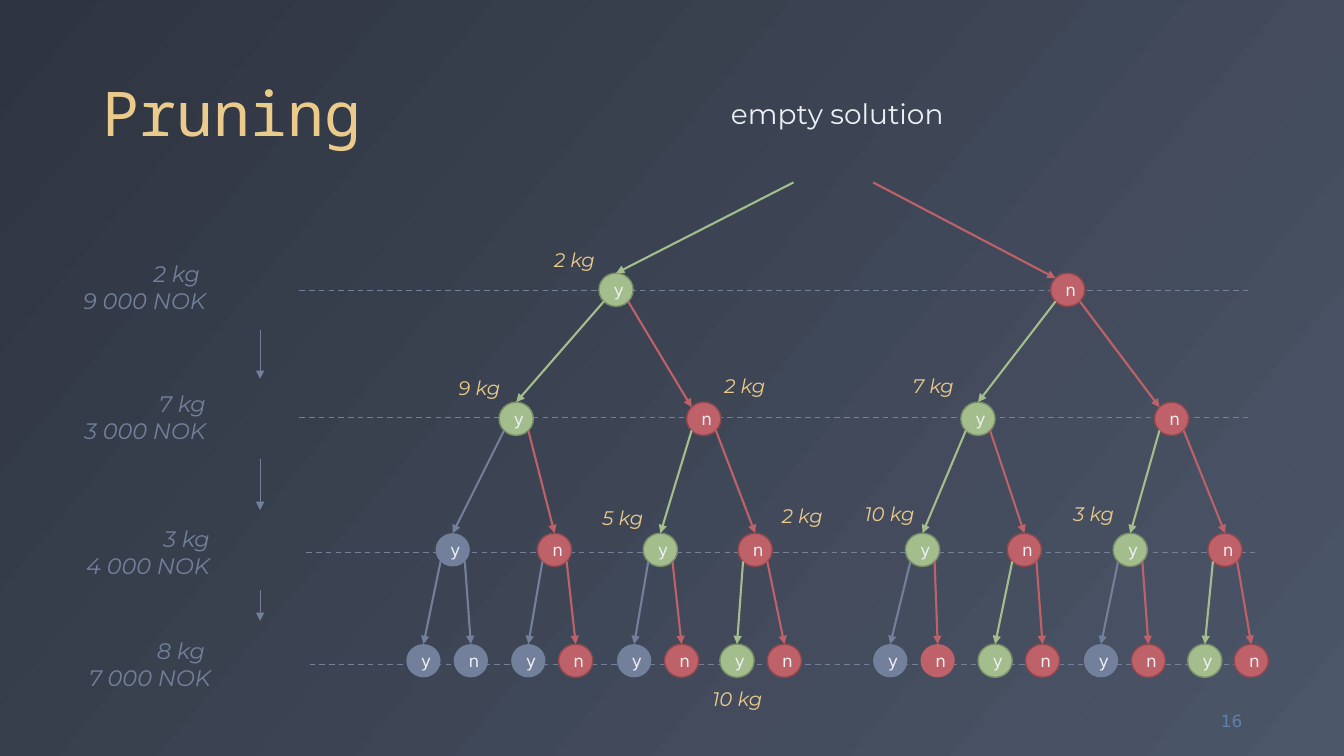
from dataclasses import dataclass
from typing import Any, Optional

import pptx
import pptx.dml.color
import pptx.enum.dml
import pptx.enum.shapes
import pptx.enum.text
import pptx.oxml
import pptx.oxml.ns
import pptx.util

Inches = pptx.util.Inches
ALIGN = pptx.enum.text.PP_ALIGN
ANCHOR = pptx.enum.text.MSO_ANCHOR
FIT = pptx.enum.text.MSO_AUTO_SIZE

COLORS = {
    "dark": "2E3440", "slate": "4C5669", "gray": "73809B", "white": "ECEFF3",
    "gold": "EBCB8B", "blue": "5E81AC",
    "green": "A3BE8C", "moss": "798D68", "red": "BF6169", "wine": "8D484E",
}
# Letter of a node: fill and rim
KINDS = {
    "B": ("gray", None), "G": ("green", "moss"),
    "R": ("red", "wine"), "P": ("red", None),
}
NODE_W, NODE_H = 0.34, 0.33
DASH_W = 9.42
ARROW_X = 2.58
ROOTS = [(7.87, 1.81), (8.66, 1.81)]


@dataclass
class Level:
    top: float
    kinds: str
    lefts: list[float]
    corner: bool = False  # "n" edges end at the upper left of the node


@dataclass
class Row:
    text: str
    left: float
    top: float
    width: float
    dash_x: float
    dash_y: float
    arrow: Optional[tuple[float, float]] = None


@dataclass
class Weight:
    text: str
    left: float
    top: float
    width: float = 0.62


LEVELS = [
    Level(2.71, "GR", [5.94, 10.42], True),
    Level(3.99, "GRGR", [4.95, 6.81, 9.53, 11.45], True),
    Level(5.29, "BRGRGRGR",
          [4.32, 5.33, 6.38, 7.32, 8.98, 9.99, 11.04, 11.98]),
    Level(6.39, "BBBRBRGRBPGRBRGR",
          [4.03, 4.5, 5.07, 5.54, 6.12, 6.59, 7.14, 7.61,
           8.66, 9.13, 9.7, 10.17, 10.75, 11.22, 11.78, 12.24]),
]
ROWS = [
    Row("2 kg \n9 000 NOK", 0.71, 2.53, 1.43, 2.97, 2.88, (3.27, 3.76)),
    Row("7 kg\n3 000 NOK", 0.72, 3.82, 1.42, 2.97, 4.14, (4.55, 5.06)),
    Row("3 kg\n4 000 NOK", 0.73, 5.16, 1.45, 3.04, 5.48, (5.85, 6.16)),
    Row("8 kg \n7 000 NOK", 0.76, 6.27, 1.43, 3.07, 6.59),
]
WEIGHTS = [
    Weight("2 kg", 5.38, 2.41), Weight("9 kg", 4.44, 3.68),
    Weight("2 kg", 7.07, 3.66), Weight("5 kg", 5.86, 4.97),
    Weight("10 kg", 6.96, 6.77, 0.7), Weight("2 kg", 7.64, 4.95),
    Weight("7 kg", 8.94, 3.66), Weight("10 kg", 8.47, 4.93, 0.7),
    Weight("3 kg", 10.53, 4.93),
]


def rgb(name: str) -> pptx.dml.color.RGBColor:
    return pptx.dml.color.RGBColor.from_string(COLORS[name])


def write(frame: Any, text: str, *, size: float, color: str,
          font: str = "Montserrat", align: Any = ALIGN.RIGHT,
          anchor: Any = ANCHOR.TOP, italic: bool = False,
          wrap: bool = False, fit: Any = FIT.NONE) -> None:
    """Fill a text frame, one paragraph for each line of the text."""
    frame.text = text
    frame.word_wrap = wrap
    frame.auto_size = fit
    frame.vertical_anchor = anchor
    for para in frame.paragraphs:
        para.alignment = align
        for run in para.runs:
            run.font.name = font
            run.font.size = pptx.util.Pt(size)
            run.font.italic = italic
            run.font.color.rgb = rgb(color)


def add_text(slide: Any, text: str, left: float, top: float, width: float,
             height: float, **style: Any) -> None:
    box = slide.shapes.add_textbox(*map(Inches, (left, top, width, height)))
    write(box.text_frame, text, **style)


def add_line(slide: Any, start: tuple[float, float], end: tuple[float, float],
             color: str, width: float, dash: bool = False,
             arrow: bool = False) -> Any:
    line = slide.shapes.add_connector(
        pptx.enum.shapes.MSO_CONNECTOR.STRAIGHT, *map(Inches, start + end))
    line.line.color.rgb = rgb(color)
    line.line.width = pptx.util.Pt(width)
    if dash:
        line.line.dash_style = pptx.enum.dml.MSO_LINE.DASH
    if arrow:
        tail = pptx.oxml.parse_xml(
            f'<a:tailEnd {pptx.oxml.ns.nsdecls("a")} type="triangle"/>')
        line.line._get_or_add_ln().append(tail)
    line._element.spPr.append(pptx.oxml.parse_xml(
        f'<a:effectLst {pptx.oxml.ns.nsdecls("a")}/>'))
    return line


def add_node(slide: Any, left: float, top: float, kind: str, text: str) -> Any:
    fill, rim = KINDS[kind]
    node = slide.shapes.add_shape(
        pptx.enum.shapes.MSO_SHAPE.OVAL,
        *map(Inches, (left, top, NODE_W, NODE_H)))
    node.shadow.inherit = False
    node.fill.solid()
    node.fill.fore_color.rgb = rgb(fill)
    if rim:
        node.line.color.rgb = rgb(rim)
        node.line.width = pptx.util.Pt(1)
    else:
        node.line.fill.background()
    write(node.text_frame, text, size=12, color="white", font="DejaVu Sans",
          align=ALIGN.CENTER, anchor=ANCHOR.MIDDLE, wrap=True)
    return node


def add_tree(slide: Any) -> None:
    """Draw each level; two starts per node lead to the next level."""
    starts = ROOTS
    for level in LEVELS:
        exits = []
        for index, (left, kind) in enumerate(zip(level.lefts, level.kinds)):
            is_no = index % 2 == 1
            node = add_node(slide, left, level.top, kind, "n" if is_no else "y")
            to_side = level.corner and is_no
            end = ((left + 0.05, level.top + 0.05) if to_side
                   else (left + NODE_W / 2, level.top))
            edge = add_line(slide, starts[index], end, KINDS[kind][0], 1.5,
                            arrow=True)
            if not to_side:
                edge.end_connect(node, 0)
            exits += [(left + dx, level.top + 0.28) for dx in (0.05, 0.29)]
        starts = exits


def main() -> None:
    deck = pptx.Presentation()
    deck.slide_width, deck.slide_height = Inches(13.33), Inches(7.5)
    slide = deck.slides.add_slide(deck.slide_layouts[5])

    back = slide.background.fill
    back.gradient()
    back.gradient_angle = 320
    for stop, name in zip(back.gradient_stops, ("dark", "slate")):
        stop.color.rgb = rgb(name)

    title = slide.shapes.title
    title.left, title.top = Inches(0.92), Inches(0.18)
    title.width, title.height = Inches(11.5), Inches(1.36)
    write(title.text_frame, "Pruning", size=44, color="gold",
          font="Noto Sans Mono", align=ALIGN.LEFT, anchor=ANCHOR.BOTTOM,
          wrap=True)
    title.text_frame.paragraphs[0].line_spacing = 0.9

    for row in ROWS:
        add_line(slide, (row.dash_x, row.dash_y),
                 (row.dash_x + DASH_W, row.dash_y), "gray", 1, dash=True)
        add_text(slide, row.text, row.left, row.top, row.width, 0.64,
                 size=16, color="gray", italic=True, fit=FIT.SHAPE_TO_FIT_TEXT)
        if row.arrow:
            start, end = row.arrow
            add_line(slide, (ARROW_X, start), (ARROW_X, end), "gray", 0.5,
                     arrow=True)

    add_tree(slide)
    add_text(slide, "empty solution", 7.14, 0.91, 2.33, 0.44, size=20,
             color="white", align=ALIGN.CENTER, fit=FIT.SHAPE_TO_FIT_TEXT)
    for mass in WEIGHTS:
        add_text(slide, mass.text, mass.left, mass.top, mass.width, 0.34,
                 size=14, color="gold", italic=True, fit=FIT.SHAPE_TO_FIT_TEXT)
    add_text(slide, "16", 11.59, 6.95, 0.83, 0.4, size=12, color="blue",
             font="DejaVu Sans", anchor=ANCHOR.MIDDLE, wrap=True)
    deck.save("out.pptx")


if __name__ == "__main__":
    main()
